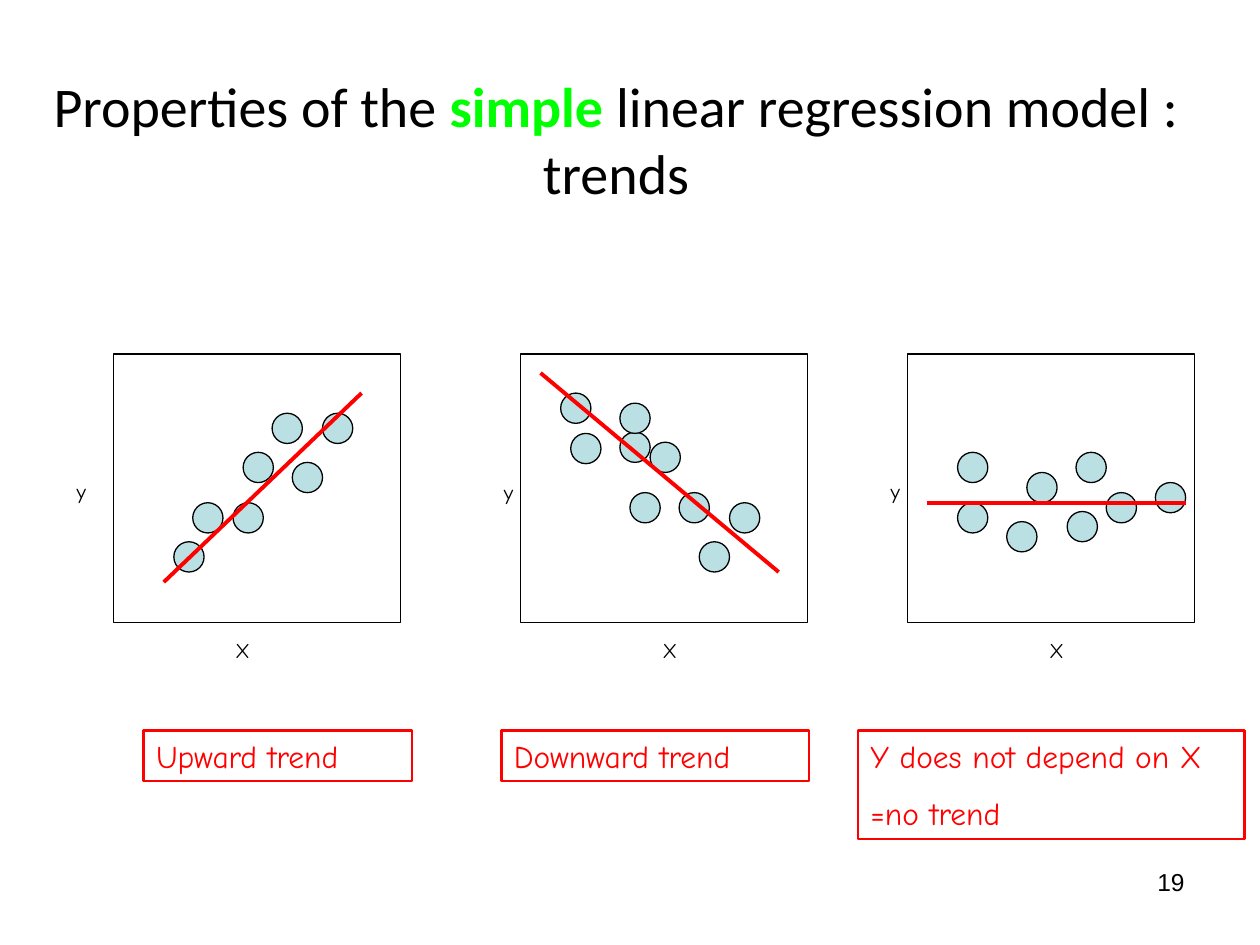
from dataclasses import dataclass

from lxml import etree
from pptx import Presentation
from pptx.dml.color import RGBColor
from pptx.enum.shapes import MSO_CONNECTOR as Connector, MSO_SHAPE as Shape
from pptx.enum.text import MSO_ANCHOR as Anchor, PP_ALIGN as Align
from pptx.oxml.ns import qn
from pptx.util import Inches, Pt

BLACK = RGBColor(0x00, 0x00, 0x00)
RED = RGBColor(0xFF, 0x00, 0x00)
GREEN = RGBColor(0x00, 0xFF, 0x00)
PALE_BLUE = RGBColor(0xBB, 0xE0, 0xE3)

PLOT_TOP, PLOT_WIDTH, PLOT_HEIGHT = 2.81, 2.28, 2.13
POINT_SIZE = 0.24
AXIS_LABEL_SIZE = (0.32, 0.3)
X_LABEL_TOP = 5.01
CAPTION_TOP = 5.8


@dataclass
class Panel:
    """A scatter plot; points are the top-left corners of the dots."""
    left: float
    points: list
    trend: tuple
    x_label_left: float
    y_label: tuple
    caption: list
    caption_box: tuple


PANELS = [
    Panel(0.9,
          [(1.85, 3.99), (1.93, 3.59), (2.16, 3.28), (2.56, 3.28),
           (1.38, 4.3), (1.53, 3.99), (2.32, 3.67)],
          (1.3, 4.62, 2.87, 3.12), 1.77, (0.51, 3.75),
          ["Upward trend"], (1.14, CAPTION_TOP, 2.13, 0.4)),
    Panel(4.13,
          [(4.53, 3.44), (4.92, 3.43), (5.16, 3.51), (5, 3.91), (5.39, 3.91),
           (5.79, 3.99), (5.55, 4.3), (4.45, 3.12), (4.92, 3.2)],
          (4.29, 2.96, 6.18, 4.54), 5.16, (3.9, 3.76),
          ["Downward trend"], (3.98, CAPTION_TOP, 2.44, 0.4)),
    Panel(7.2,
          [(8.54, 3.59), (7.6, 3.59), (7.99, 4.14), (8.15, 3.75),
           (8.47, 4.06), (8.78, 3.91), (9.17, 3.83), (7.6, 3.99)],
          (7.36, 3.99, 9.41, 3.99), 8.23, (6.97, 3.75),
          ["Y does not depend on X", "=no trend"],
          (6.81, CAPTION_TOP, 3.07, 0.86)),
]


def add_run(paragraph, text, font="Comic Neue", size=12, color=BLACK, bold=False):
    run = paragraph.add_run()
    run.text = text
    run.font.name = font
    run.font.size = Pt(size)
    run.font.color.rgb = color
    run.font.bold = bold


class SlideBuilder:
    def __init__(self, slide):
        self.slide = slide

    def shape(self, kind, box, fill=None, line=BLACK, width=0.75):
        shape = self.slide.shapes.add_shape(kind, *map(Inches, box))
        shape.shadow.inherit = False
        if fill is None:
            shape.fill.background()
        else:
            shape.fill.solid()
            shape.fill.fore_color.rgb = fill
        shape.line.color.rgb = line
        shape.line.width = Pt(width)
        return shape

    def line(self, ends, color=RED, width=2.25):
        connector = self.slide.shapes.add_connector(
            Connector.STRAIGHT, *map(Inches, ends))
        connector.line.color.rgb = color
        connector.line.width = Pt(width)
        properties = connector._element.spPr
        etree.SubElement(properties, qn("a:effectLst"))

    def fill_text(self, shape, paragraphs, align=Align.LEFT, anchor=Anchor.TOP,
                  space_before=0, **style):
        """Fill a shape; each paragraph is a list of (text, overrides) runs."""
        frame = shape.text_frame
        frame.word_wrap = True
        frame.vertical_anchor = anchor
        for index, runs in enumerate(paragraphs):
            paragraph = frame.add_paragraph() if index else frame.paragraphs[0]
            paragraph.alignment = align
            if index:
                paragraph.space_before = Pt(space_before)
            for text, overrides in runs:
                add_run(paragraph, text, **{**style, **overrides})

    def text(self, box, runs, **style):
        textbox = self.slide.shapes.add_textbox(*map(Inches, box))
        self.fill_text(textbox, [runs], **style)

    def panel(self, panel):
        self.shape(Shape.RECTANGLE,
                   (panel.left, PLOT_TOP, PLOT_WIDTH, PLOT_HEIGHT))
        for left, top in panel.points:
            self.shape(Shape.OVAL, (left, top, POINT_SIZE, POINT_SIZE),
                       fill=PALE_BLUE)
        self.line(panel.trend)
        self.text((panel.x_label_left, X_LABEL_TOP, *AXIS_LABEL_SIZE), [("X", {})])
        self.text((*panel.y_label, *AXIS_LABEL_SIZE), [("y", {})])
        caption = self.shape(Shape.RECTANGLE, panel.caption_box, line=RED, width=1.5)
        self.fill_text(caption, [[(text, {})] for text in panel.caption],
                       space_before=11.2, size=18, color=RED)


def main():
    presentation = Presentation()
    presentation.slide_width = Inches(10)
    presentation.slide_height = Inches(7.5)
    builder = SlideBuilder(
        presentation.slides.add_slide(presentation.slide_layouts[6]))

    builder.text((0.27, 0.28, 9.24, 1.64),
                 [("Properties of the ", {}),
                  ("simple", {"color": GREEN, "bold": True}),
                  (" linear regression model : trends", {})],
                 align=Align.CENTER, anchor=Anchor.MIDDLE, font="Calibri", size=32)
    for panel in PANELS:
        builder.panel(panel)
    builder.text((7.17, 6.83, 2.33, 0.52), [("19", {})],
                 align=Align.RIGHT, font="Arial", size=14)

    presentation.save("out.pptx")


if __name__ == "__main__":
    main()
